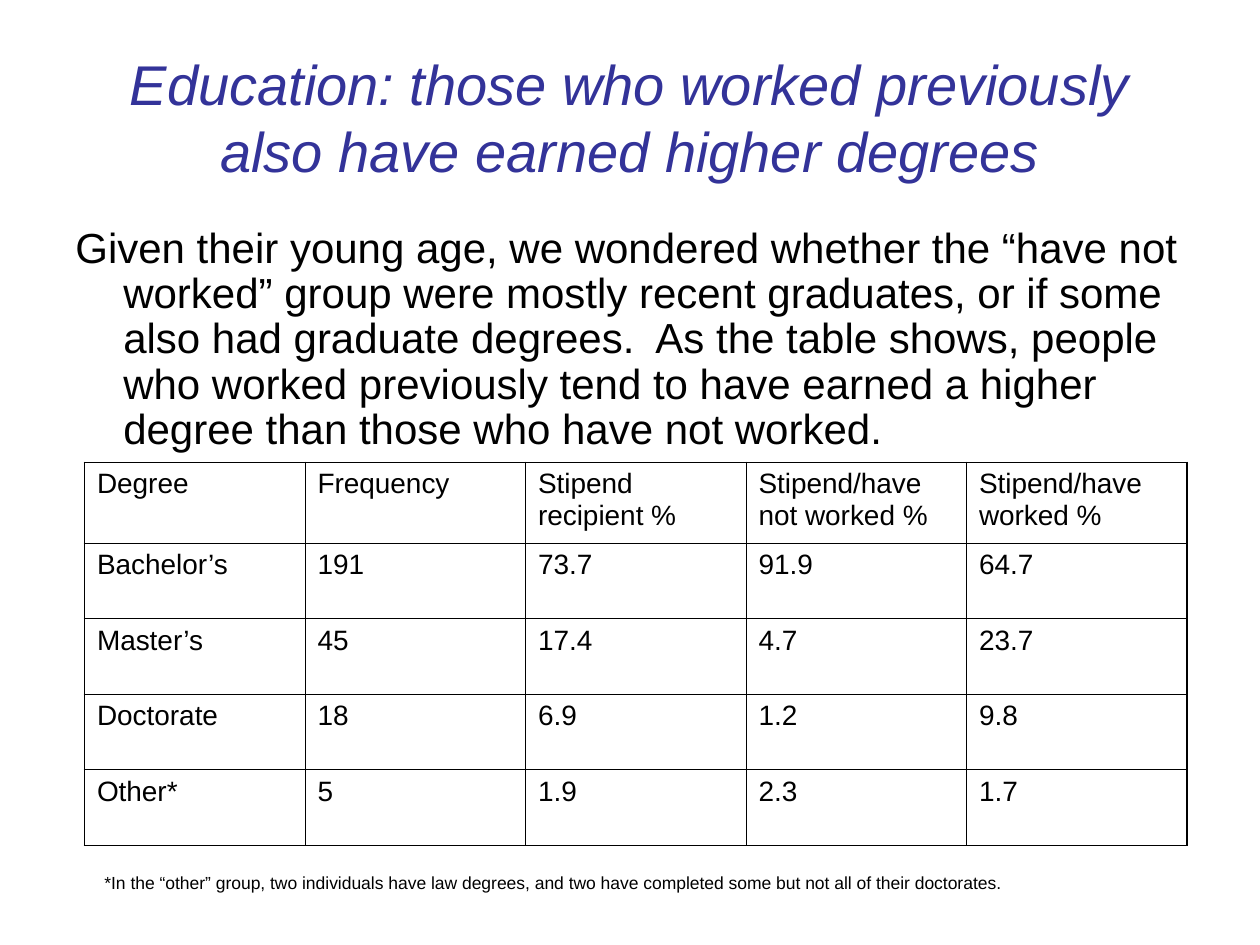
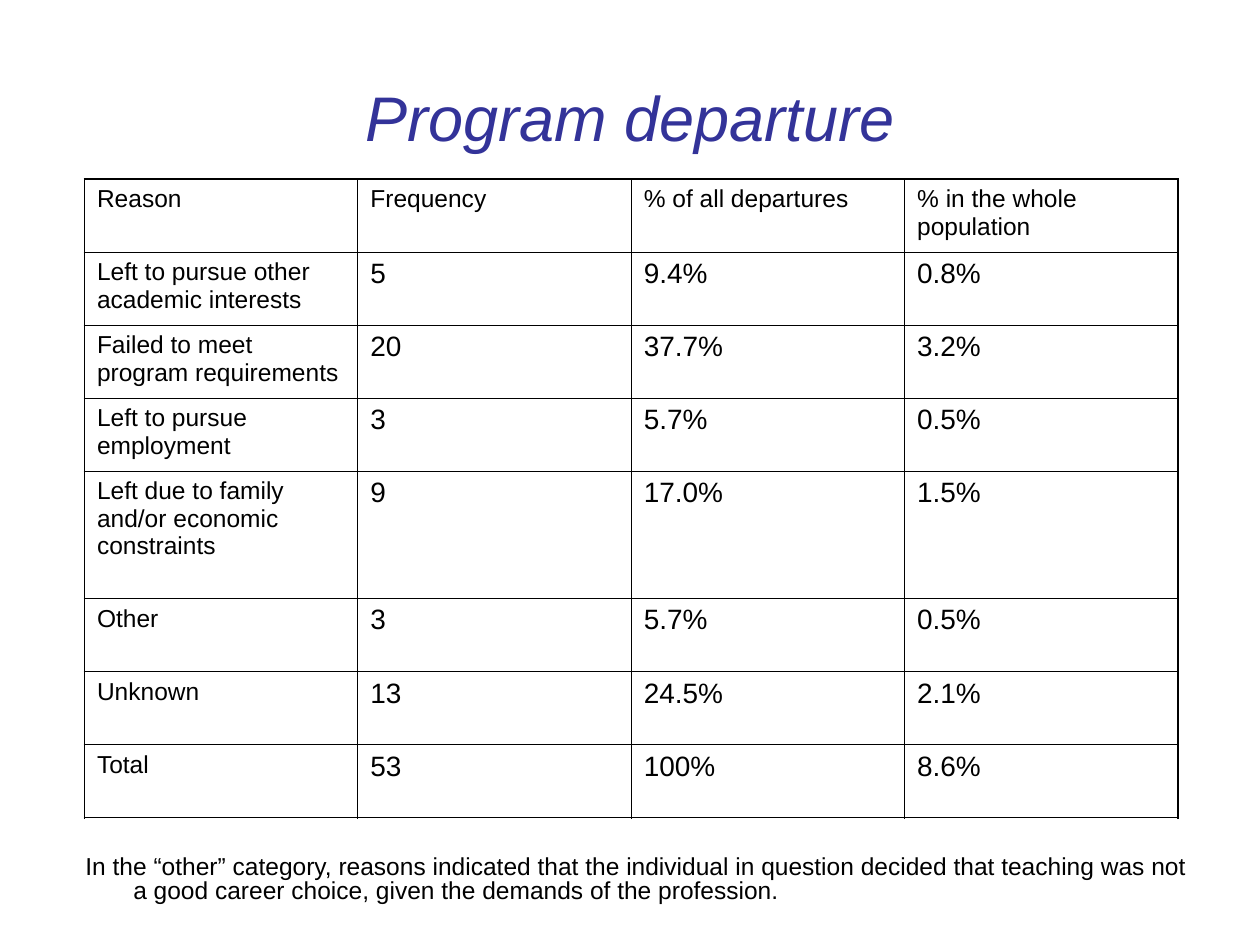
from lxml import etree
from pptx import Presentation
from pptx import util as u
from pptx.dml.color import RGBColor
from pptx.enum import text
from pptx.oxml import ns

PX = 9144  # 100 px to the inch
INDIGO = RGBColor(0x33, 0x33, 0x99)
BLACK = RGBColor(0, 0, 0)
FONT = "Arial"
TITLE_BOX = (50, 30, 900, 125)
OUTER_LINE, INNER_LINE = 1.08, 0.45
HANGING = 38

# Content
SLIDES = [
    {
        "title": ("Education: those who worked previously also have earned higher degrees", 32),
        "table": {
            "corner": (67, 367),
            "column": 175,
            "heights": [64, 60, 60, 60, 60],
            "label_size": 16,
            "rows": [
                ("Degree", "Frequency", "Stipend recipient %",
                 "Stipend/have not worked %", "Stipend/have worked %"),
                ("Bachelor’s", "191", "73.7", "91.9", "64.7"),
                ("Master’s", "45", "17.4", "4.7", "23.7"),
                ("Doctorate", "18", "6.9", "1.2", "9.8"),
                ("Other*", "5", "1.9", "2.3", "1.7"),
            ],
        },
        "notes": [
            {"box": (50, 175, 908, 192), "size": 24, "spacing": 0.9, "indent": HANGING,
             "words": "Given their young age, we wondered whether the “have not worked” group "
                      "were mostly recent graduates, or if some also had graduate degrees.  "
                      "As the table shows, people who worked previously tend to have earned "
                      "a higher degree than those who have not worked."},
            {"box": (73, 687, 885, 27), "size": 10, "spacing": 1.0, "indent": 0,
             "words": "*In the “other” group, two individuals have law degrees, and two have "
                      "completed some but not all of their doctorates."},
        ],
    },
    {
        "title": ("Program departure", 36),
        "table": {
            "corner": (67, 142),
            "column": 217,
            "heights": [58, 58, 58, 58, 101, 58, 58, 58],
            "label_size": 14,
            "rows": [
                ("Reason", "Frequency", "% of all departures", "% in the whole population"),
                ("Left to pursue other academic interests", "5", "9.4%", "0.8%"),
                ("Failed to meet program requirements", "20", "37.7%", "3.2%"),
                ("Left to pursue employment", "3", "5.7%", "0.5%"),
                ("Left due to family and/or economic constraints", "9", "17.0%", "1.5%"),
                ("Other", "3", "5.7%", "0.5%"),
                ("Unknown", "13", "24.5%", "2.1%"),
                ("Total", "53", "100%", "8.6%"),
            ],
        },
        "notes": [
            {"box": (58, 675, 900, 50), "size": 14, "spacing": 0.8, "indent": HANGING,
             "words": "In the “other” category, reasons indicated that the individual in "
                      "question decided that teaching was not a good career choice, given "
                      "the demands of the profession."},
        ],
    },
]
VALUE_SIZE = 16


def emu(lengths):
    return [length * PX for length in lengths]


def assign(target, **values):
    for name, value in values.items():
        setattr(target, name, value)


def write(frame, words, size, color=BLACK, italic=False, spacing=1.0):
    frame.text = words
    paragraph = frame.paragraphs[0]
    assign(paragraph, space_before=u.Pt(0), line_spacing=spacing)
    font = paragraph.runs[0].font
    assign(font, name=FONT, size=u.Pt(size), italic=italic)
    font.color.rgb = color
    return paragraph


def add_title(slide, words, size):
    title = slide.shapes.title
    assign(title, **dict(zip(("left", "top", "width", "height"), emu(TITLE_BOX))))
    assign(title.text_frame, word_wrap=True, auto_size=text.MSO_AUTO_SIZE.NONE,
           vertical_anchor=text.MSO_ANCHOR.MIDDLE)
    paragraph = write(title.text_frame, words, size, INDIGO, True)
    paragraph.alignment = text.PP_ALIGN.CENTER


def add_note(slide, box, size, spacing, indent, words):
    frame = slide.shapes.add_textbox(*emu(box)).text_frame
    frame.word_wrap = True
    properties = write(frame, words, size, spacing=spacing)._p.get_or_add_pPr()
    properties.set("marL", str(indent * PX))
    properties.set("indent", str(-indent * PX))


def draw_borders(cell, outer_sides):
    properties = cell._tc.get_or_add_tcPr()
    for side in "LRTB":
        width = OUTER_LINE if side in outer_sides else INNER_LINE
        line = etree.SubElement(properties, ns.qn(f"a:ln{side}"), w=str(u.Pt(width)))
        fill = etree.SubElement(line, ns.qn("a:solidFill"))
        etree.SubElement(fill, ns.qn("a:srgbClr"), val=str(BLACK))


def add_data_table(slide, corner, column, heights, label_size, rows):
    last_row, last_column = len(rows) - 1, len(rows[0]) - 1
    size = (column * len(rows[0]), sum(heights))
    table = slide.shapes.add_table(len(rows), len(rows[0]), *emu(corner + size)).table
    assign(table, first_row=False, horz_banding=False)
    for table_column in table.columns:
        table_column.width = column * PX
    for r, (height, row) in enumerate(zip(heights, rows)):
        table.rows[r].height = height * PX
        for c, words in enumerate(row):
            cell = table.cell(r, c)
            is_label = r == 0 or c == 0
            write(cell.text_frame, words, label_size if is_label else VALUE_SIZE)
            edges = {"L": c == 0, "R": c == last_column, "T": r == 0, "B": r == last_row}
            draw_borders(cell, [side for side, outer in edges.items() if outer])
            cell.fill.background()


def main():
    deck = Presentation()
    assign(deck, slide_width=1000 * PX, slide_height=750 * PX)
    title_only = deck.slide_layouts[5]
    for content in SLIDES:
        slide = deck.slides.add_slide(title_only)
        add_title(slide, *content["title"])
        add_data_table(slide, **content["table"])
        for note in content["notes"]:
            add_note(slide, **note)
    deck.save("out.pptx")


if __name__ == "__main__":
    main()
